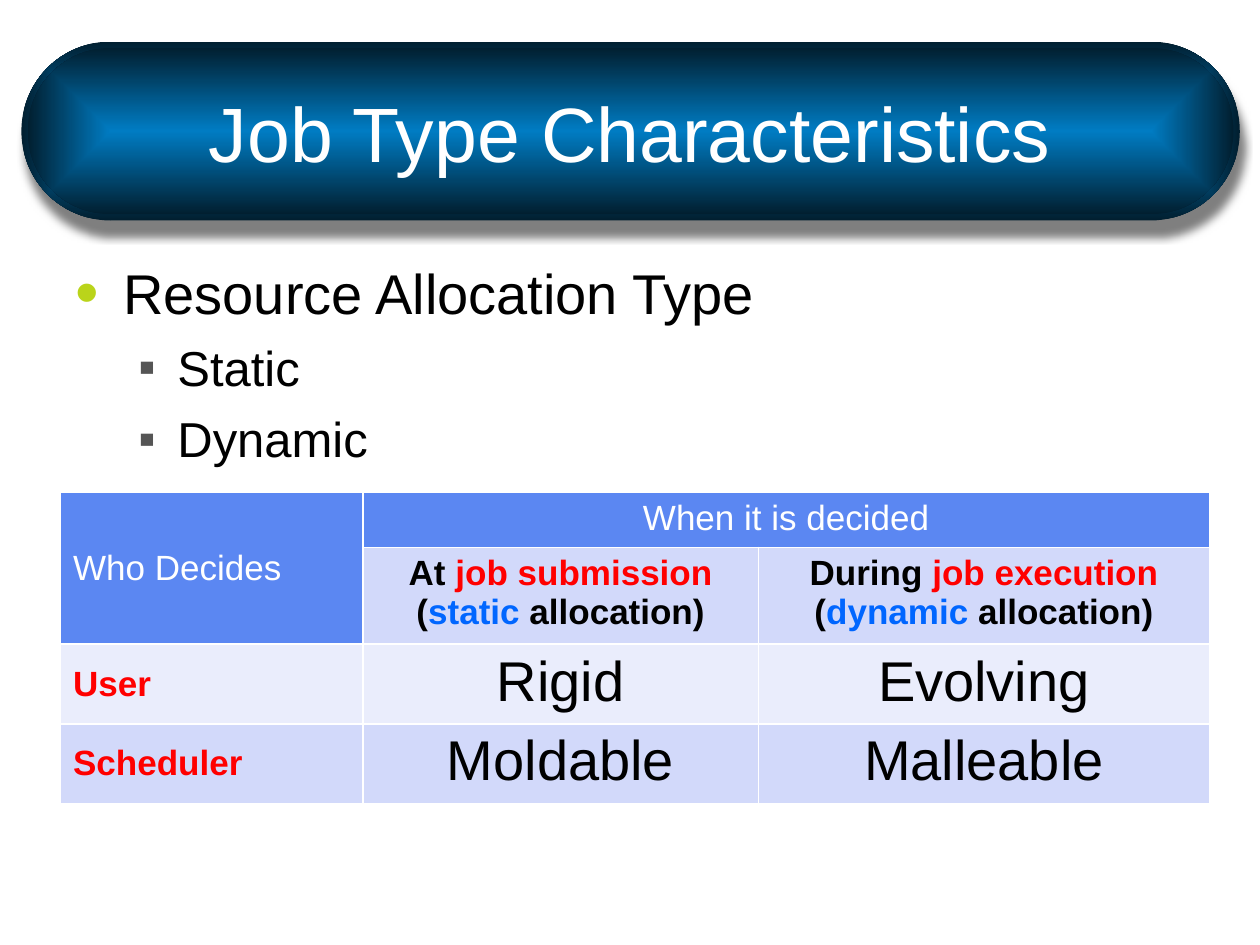
from lxml import etree
from pptx import Presentation
from pptx.dml.color import RGBColor
from pptx.enum.shapes import MSO_SHAPE
from pptx.enum.text import MSO_ANCHOR, MSO_AUTO_SIZE, PP_ALIGN
from pptx.oxml import parse_xml
from pptx.oxml.ns import nsdecls, qn
from pptx.util import Inches, Pt

COLORS = {
    "white": "FFFFFF", "black": "000000", "red": "FF0000", "blue": "0066FF",
    "header": "5B87F2", "band_dark": "D2D9FA", "band_light": "EAEDFC",
    "pill_center": "007CC3", "pill_edge": "011F30",
    "dot": "BAD41A", "square": "555555",
}
FONT = "Arial"


def add_run(paragraph, text, size, color="black", bold=False):
    """Append one formatted run to a paragraph."""
    run = paragraph.add_run()
    run.text = text
    run.font.name = FONT
    run.font.size = Pt(size)
    run.font.bold = bold
    run.font.color.rgb = RGBColor.from_string(COLORS[color])


def add_pill(slide, left, top, width, height, shadow=False):
    """Draw a fully rounded bar with a gradient running inward from its edge."""
    pill = slide.shapes.add_shape(
        MSO_SHAPE.ROUNDED_RECTANGLE, Inches(left), Inches(top), Inches(width), Inches(height))
    pill.adjustments[0] = 0.5
    pill.line.fill.background()
    pill.shadow.inherit = False
    properties = pill._element.spPr
    gradient = parse_xml(
        f'<a:gradFill {nsdecls("a")} rotWithShape="1"><a:gsLst>'
        f'<a:gs pos="0"><a:srgbClr val="{COLORS["pill_center"]}"/></a:gs>'
        f'<a:gs pos="100000"><a:srgbClr val="{COLORS["pill_edge"]}"/></a:gs></a:gsLst>'
        '<a:path path="shape"><a:fillToRect l="50000" t="50000" r="50000" b="50000"/></a:path>'
        '</a:gradFill>')
    properties.find(qn("a:prstGeom")).addnext(gradient)
    if shadow:
        properties.find(qn("a:effectLst")).append(parse_xml(
            f'<a:outerShdw {nsdecls("a")} blurRad="{Pt(5)}" dist="{Pt(9.2)}" '
            f'dir="{77 * 60000}" algn="ctr" rotWithShape="0">'
            f'<a:srgbClr val="{COLORS["black"]}"><a:alpha val="50000"/></a:srgbClr>'
            '</a:outerShdw>'))


def add_title_banner(slide, left, top, width, height, text):
    """Place the title over a two-layer pill filling the given box."""
    rim = 0.05
    add_pill(slide, left, top, width, height, shadow=True)
    add_pill(slide, left + rim, top + rim, width - 2 * rim, height - 2 * rim)
    title = slide.shapes.title
    title.left, title.top = Inches(0.75), Inches(top + 0.09)
    title.width, title.height = Inches(8.5), Inches(1.25)
    slide.shapes._spTree.append(title._element)
    frame = title.text_frame
    frame.auto_size = MSO_AUTO_SIZE.NONE
    frame.vertical_anchor = MSO_ANCHOR.MIDDLE
    frame.paragraphs[0].alignment = PP_ALIGN.CENTER
    add_run(frame.paragraphs[0], text, 44, "white")


def set_bullet(paragraph, char, color, percent, margin, hang):
    """Give a paragraph a coloured bullet with a hanging indent."""
    properties = paragraph._p.get_or_add_pPr()
    properties.set("marL", str(Inches(margin)))
    properties.set("indent", str(-Inches(hang)))
    bullet_color = etree.SubElement(properties, qn("a:buClr"))
    etree.SubElement(bullet_color, qn("a:srgbClr"), val=COLORS[color])
    etree.SubElement(properties, qn("a:buSzPct"), val=str(percent * 1000))
    etree.SubElement(properties, qn("a:buFont"), typeface=FONT)
    etree.SubElement(properties, qn("a:buChar"), char=char)


def add_outline(slide, left, top, width, height, items):
    """Write a two-level bulleted list from (level, text) pairs."""
    styles = [
        (32, 4, ("•", "dot", 120, 0.38, 0.38)),
        (28, 7, ("▪", "square", 100, 0.81, 0.31)),
    ]
    box = slide.shapes.add_textbox(Inches(left), Inches(top), Inches(width), Inches(height))
    frame = box.text_frame
    frame.word_wrap = True
    for index, (level, text) in enumerate(items):
        paragraph = frame.add_paragraph() if index else frame.paragraphs[0]
        size, gap, bullet = styles[level]
        paragraph.level = level
        paragraph.space_before = Pt(gap)
        set_bullet(paragraph, *bullet)
        add_run(paragraph, text, size)


def style_cell(cell, fill):
    """Set a cell's white borders and solid fill."""
    properties = cell._tc.get_or_add_tcPr()
    for side in ("lnL", "lnR", "lnT", "lnB"):
        border = etree.SubElement(properties, qn(f"a:{side}"), w=str(Pt(1)))
        solid = etree.SubElement(border, qn("a:solidFill"))
        etree.SubElement(solid, qn("a:srgbClr"), val=COLORS["white"])
    cell.fill.solid()
    cell.fill.fore_color.rgb = RGBColor.from_string(COLORS[fill])


def write_cell(cell, lines, size=20, bold=False, centered=True):
    """Write lines of (text, colour) runs into a cell."""
    cell.vertical_anchor = MSO_ANCHOR.TOP if centered else MSO_ANCHOR.MIDDLE
    frame = cell.text_frame
    for index, runs in enumerate(lines):
        paragraph = frame.add_paragraph() if index else frame.paragraphs[0]
        paragraph.alignment = PP_ALIGN.CENTER if centered else PP_ALIGN.LEFT
        for text, color in runs:
            add_run(paragraph, text, size, color, bold)


def add_decision_table(slide, left, top, columns, rows, timings, deciders):
    """Build the table of who decides an allocation and when."""
    table = slide.shapes.add_table(
        len(rows), len(columns), Inches(left), Inches(top),
        Inches(sum(columns)), Inches(sum(rows))).table
    for column, width in zip(table.columns, columns):
        column.width = Inches(width)
    for row, height in zip(table.rows, rows):
        row.height = Inches(height)
    for row_index, fill in enumerate(("header", "band_dark", "band_light", "band_dark")):
        for column_index in range(len(columns)):
            style_cell(table.cell(row_index, column_index),
                       fill if column_index else ("header" if row_index < 2 else fill))

    table.cell(0, 0).merge(table.cell(1, 0))
    table.cell(0, 1).merge(table.cell(0, 2))
    write_cell(table.cell(0, 0), [[("Who Decides", "white")]], centered=False)
    write_cell(table.cell(0, 1), [[("When it is decided", "white")]])
    for column_index, (preposition, moment, kind) in enumerate(timings, 1):
        write_cell(table.cell(1, column_index), [
            [(f"{preposition} ", "black"), (moment, "red")],
            [("(", "black"), (kind, "blue"), (" allocation)", "black")],
        ], bold=True)
    for row_index, (decider, *job_types) in enumerate(deciders, 2):
        write_cell(table.cell(row_index, 0), [[(decider, "red")]], bold=True, centered=False)
        for column_index, job_type in enumerate(job_types, 1):
            write_cell(table.cell(row_index, column_index), [[(job_type, "black")]], size=32)


def main():
    """Build and save the slide."""
    presentation = Presentation()
    presentation.slide_width, presentation.slide_height = Inches(10), Inches(7.5)
    slide = presentation.slides.add_slide(presentation.slide_layouts[5])
    add_title_banner(slide, 0.17, 0.33, 9.67, 1.42, "Job Type Characteristics")
    add_outline(slide, 0.5, 2, 9.08, 5.33, [
        (0, "Resource Allocation Type"), (1, "Static"), (1, "Dynamic")])
    add_decision_table(
        slide, 0.48, 3.91, (2.4, 3.14, 3.58), (0.41, 0.72, 0.6, 0.6),
        timings=[("At", "job submission", "static"), ("During", "job execution", "dynamic")],
        deciders=[("User", "Rigid", "Evolving"), ("Scheduler", "Moldable", "Malleable")])
    presentation.save("out.pptx")


if __name__ == "__main__":
    main()
